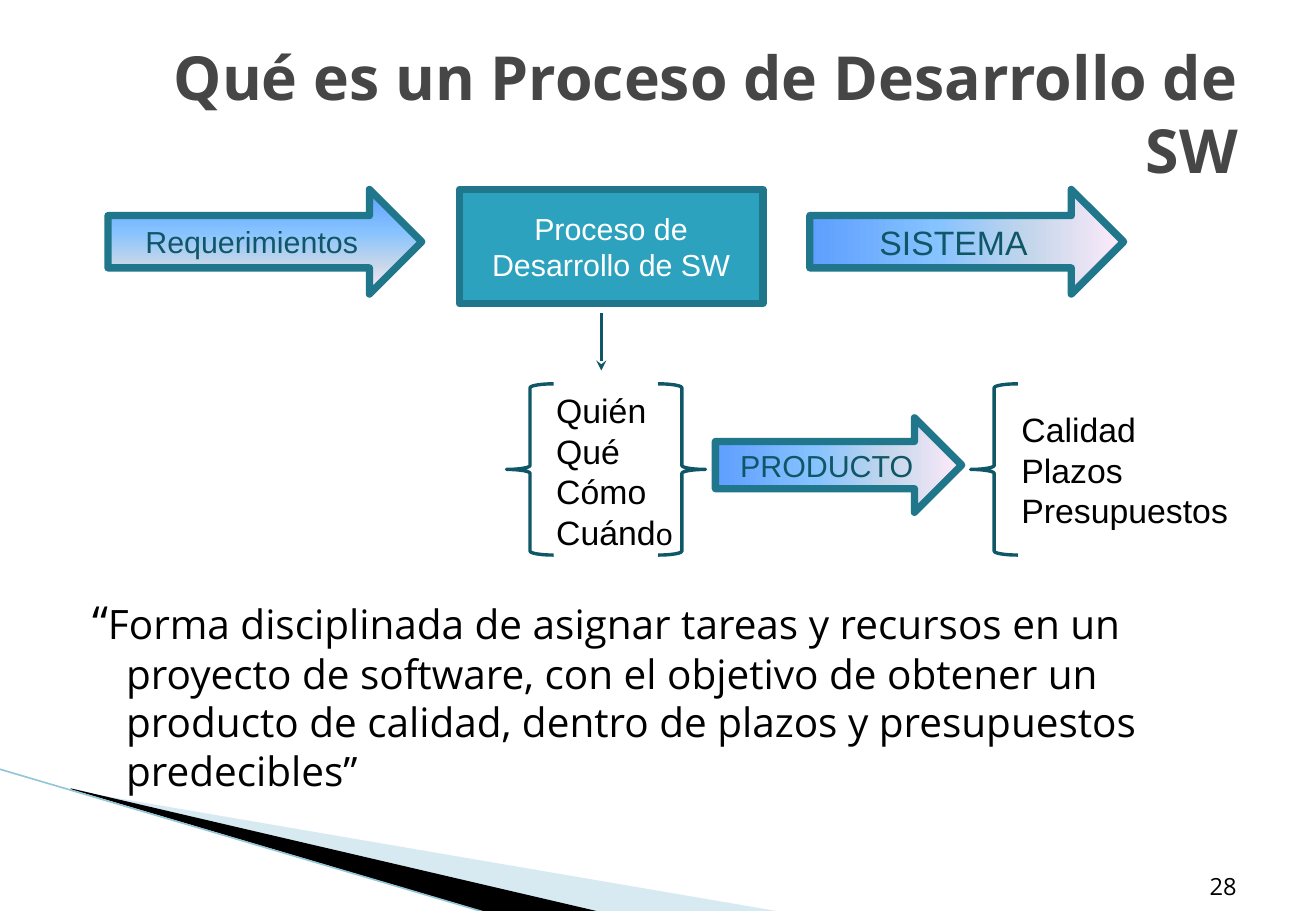
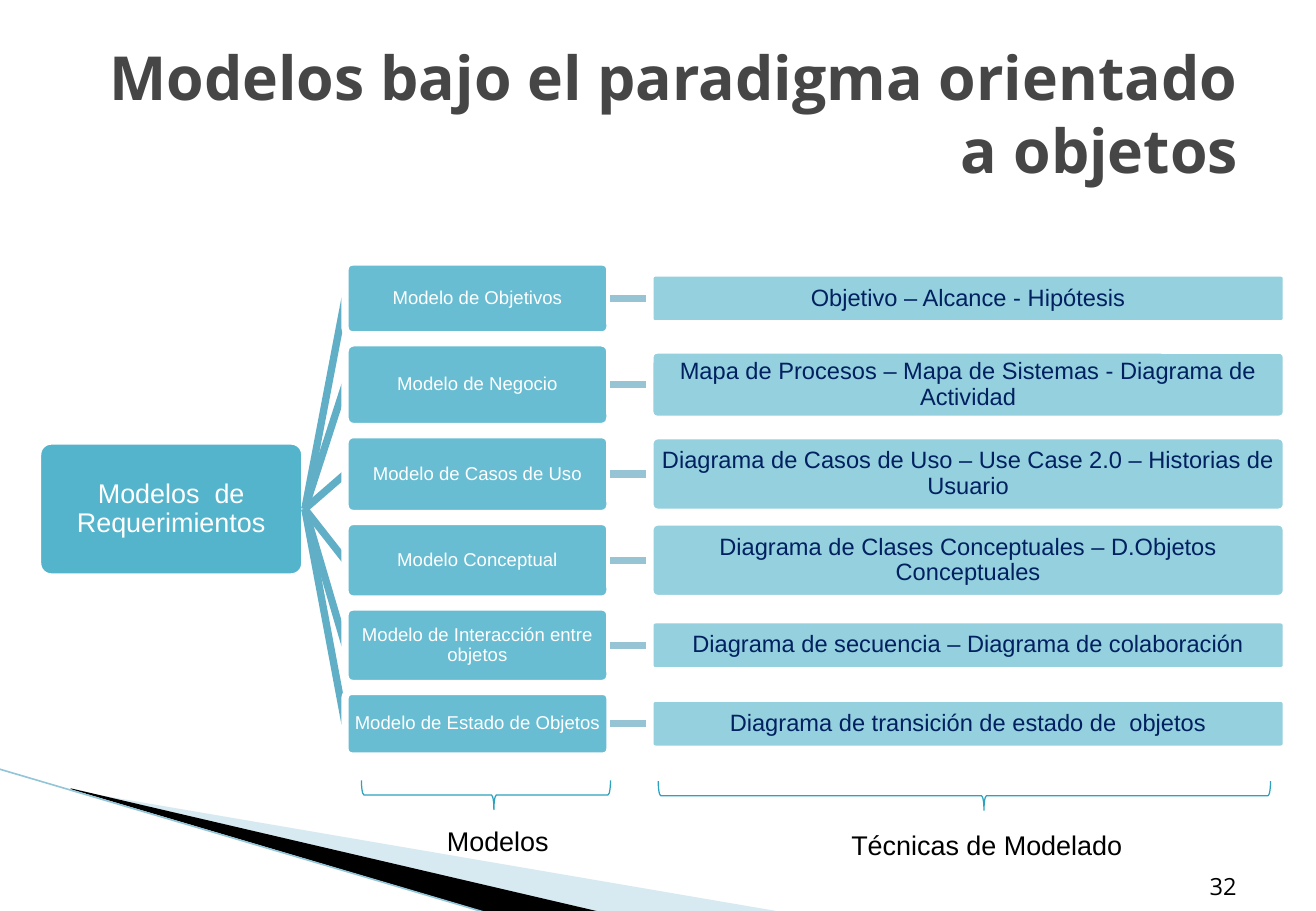
from dataclasses import dataclass
from typing import NamedTuple

from lxml.etree import SubElement as Sub
from pptx import Presentation
from pptx.dml.color import RGBColor as RGB
from pptx.enum.shapes import MSO_CONNECTOR as Conn, MSO_SHAPE as Kind
from pptx.enum.text import MSO_ANCHOR as Anchor, PP_ALIGN as Align
from pptx.oxml.ns import qn
from pptx.util import Pt

SANS, ARIAL = "Open Sans", "Arial"
BLACK = RGB(0, 0, 0)
WHITE = RGB(255, 255, 255)
GRAY = RGB(0x46, 0x46, 0x46)
NAVY = RGB(0x00, 0x20, 0x60)
DARK = RGB(0x0F, 0x56, 0x66)
EDGE = RGB(0x20, 0x76, 0x8B)
TEAL = RGB(0x2D, 0xA2, 0xBF)
NODE = RGB(0x2A, 0xA2, 0xBF)
BRANCH = RGB(0x61, 0xAE, 0xC7)
LINK = RGB(0x97, 0xC4, 0xD5)
PALE = RGB(0x9C, 0xCA, 0xDC)
SKY = RGB(0x93, 0xC5, 0xD8)
FADE = [(0, RGB(0x5E, 0x9E, 0xFF)), (40, RGB(0x85, 0xC2, 0xFF)),
        (70, RGB(0xC4, 0xD6, 0xEB)), (100, RGB(0xFF, 0xEB, 0xFA))]
THICK = 4.33


class Rect(NamedTuple):
    x: float
    y: float
    w: float
    h: float


class Run(NamedTuple):
    text: str
    size: float
    color: RGB = BLACK
    font: str = ARIAL
    bold: bool = False


@dataclass
class Arrow:
    rect: Rect
    label: Run
    angle: float = 0


@dataclass
class Brace:
    rect: Rect
    color: RGB = DARK
    width: float = 2
    mid: float = 0.5
    turn: float = 0
    flip: bool = False


@dataclass
class Row:
    model: str
    high: float
    tools: str
    low: float


ARROWS = [
    Arrow(Rect(64, 112.3, 186, 62), Run("Requerimientos", 18, DARK), 270),
    Arrow(Rect(480, 112.3, 186, 62), Run("SISTEMA", 20, DARK)),
    Arrow(Rect(424, 247.7, 146, 56), Run("PRODUCTO", 18, DARK)),
]
BRACES = [
    Brace(Rect(300.2, 227.5, 28, 101.5)),
    Brace(Rect(390.2, 227.5, 28, 101.5), flip=True),
    Brace(Rect(575.3, 227.5, 28, 101.5)),
]
SPANS = [
    Brace(Rect(563, 290.2, 17.3, 362.9), TEAL, 0.75, 0.532, 270),
    Brace(Rect(279.4, 397.4, 17.3, 147.6), TEAL, 0.75, 0.532, 270),
]
ROWS = [
    Row("Modelo de Objetivos", 43.2, "Objetivo – Alcance - Hipótesis", 30.2),
    Row("Modelo de Negocio", 49.7,
        "Mapa de Procesos – Mapa de Sistemas - Diagrama de Actividad", 41),
    Row("Modelo de Casos de Uso", 46.8,
        "Diagrama de Casos de Uso – Use Case 2.0 – Historias de Usuario", 45.4),
    Row("Modelo Conceptual", 46,
        "Diagrama de Clases Conceptuales – D.Objetos Conceptuales", 45.4),
    Row("Modelo de Interacción entre objetos", 45.4,
        "Diagrama de secuencia – Diagrama de colaboración", 30.2),
    Row("Modelo de Estado de Objetos", 38.2,
        "Diagrama de transición de estado de  objetos", 30.2),
]
TOP, GAP = 155.3, 4.7


def pts(*nums: float) -> list:
    return [Pt(n) for n in nums]


def write(shape, lines: list[list[Run]], align=Align.LEFT, anchor=Anchor.TOP,
          pad=(7.2, 3.6), lead=None) -> None:
    """Fill the shape with one paragraph per list of runs."""
    frame = shape.text_frame
    frame.word_wrap = True
    frame.vertical_anchor = anchor
    frame.margin_left = frame.margin_right = Pt(pad[0])
    frame.margin_top = frame.margin_bottom = Pt(pad[1])
    for i, runs in enumerate(lines):
        para = frame.add_paragraph() if i else frame.paragraphs[0]
        para.alignment = align
        if lead:
            para.line_spacing = lead
        for item in runs:
            run = para.add_run()
            run.text = item.text
            font = run.font
            font.name, font.size, font.bold = item.font, Pt(item.size), item.bold
            font.color.rgb = item.color


def label(slide, rect: Rect, lines: list[list[Run]], **style):
    box = slide.shapes.add_textbox(*pts(*rect))
    write(box, lines, **style)
    return box


def paint(shape, fill: RGB | None, line: RGB | None = None,
          width: float = THICK, alpha: int = 100) -> None:
    shape.shadow.inherit = False
    if fill is None:
        shape.fill.background()
    else:
        shape.fill.solid()
        shape.fill.fore_color.rgb = fill
        if alpha < 100:
            clr = shape.element.spPr.find(qn("a:solidFill"))[0]
            Sub(clr, qn("a:alpha"), val=str(alpha * 1000))
    if line is None:
        shape.line.fill.background()
    else:
        shape.line.color.rgb = line
        shape.line.width = Pt(width)


def wire(slide, ends, color: RGB, width: float = THICK, tip: str = ""):
    conn = slide.shapes.add_connector(Conn.STRAIGHT, *pts(*ends))
    conn.line.color.rgb = color
    conn.line.width = Pt(width)
    if tip:
        Sub(conn.line._get_or_add_ln(), qn("a:tailEnd"), type=tip)
    Sub(conn.element.spPr, qn("a:effectLst"))
    return conn


def wedge(slide, dots, fill: RGB, alpha: int = 100) -> None:
    first, *rest = [tuple(pts(*dot)) for dot in dots]
    pen = slide.shapes.build_freeform(*first, scale=1.0)
    pen.add_line_segments(rest, close=True)
    paint(pen.convert_to_shape(), fill, alpha=alpha)


def start(deck, title: str, num: int):
    """Add a slide with the corner bands, title and page number."""
    slide = deck.slides.add_slide(deck.slide_layouts[6])
    wedge(slide, [(42.5, 468.5), (464.4, 540.7), (355.7, 540.7), (42.5, 468)],
          PALE, 40)
    wedge(slide, [(41.8, 467.3), (356.4, 540.7), (290.2, 541.4), (42.5, 468)],
          BLACK)
    wire(slide, (-0.7, 455.8, 289.4, 541.4), SKY, 0.95)
    label(slide, Rect(38.9, 21.6, 702, 90), [[Run(title, 36, GRAY, SANS, True)]],
          align=Align.RIGHT, anchor=Anchor.MIDDLE)
    label(slide, Rect(641.5, 500.4, 98.6, 36.7),
          [[Run(str(num), 14, BLACK, SANS)]],
          align=Align.RIGHT, anchor=Anchor.BOTTOM)
    return slide


def arrow(slide, item: Arrow) -> None:
    shape = slide.shapes.add_shape(Kind.RIGHT_ARROW, *pts(*item.rect))
    paint(shape, WHITE, EDGE)
    shape.fill.gradient()
    shape.fill.gradient_angle = item.angle
    stops = shape.element.spPr.find(qn("a:gradFill")).find(qn("a:gsLst"))
    stops.clear()
    for pos, color in FADE:
        stop = Sub(stops, qn("a:gs"), pos=str(pos * 1000))
        Sub(stop, qn("a:srgbClr"), val=str(color))
    write(shape, [[item.label]], Align.CENTER, Anchor.MIDDLE)


def brace(slide, item: Brace) -> None:
    shape = slide.shapes.add_shape(Kind.LEFT_BRACE, *pts(*item.rect))
    shape.adjustments[0] = 0.083
    shape.adjustments[1] = item.mid
    shape.rotation = item.turn
    if item.flip:
        shape.element.spPr.xfrm.set("flipH", "1")
    paint(shape, None, item.color, item.width)


def node(slide, rect: Rect, text: Run, alpha: int):
    shape = slide.shapes.add_shape(Kind.ROUNDED_RECTANGLE, *pts(*rect))
    shape.adjustments[0] = 0.1
    paint(shape, NODE, WHITE, alpha=alpha)
    write(shape, [[text]], Align.CENTER, Anchor.MIDDLE, (1, 1), 0.9)
    return shape


def process(deck) -> None:
    slide = start(deck, "Qué es un Proceso de Desarrollo de SW", 28)
    quote = label(slide, Rect(38.9, 348.5, 702, 141), [[
        Run("“", 27, BLACK, SANS),
        Run("Forma disciplinada de asignar tareas y recursos en un proyecto de "
            "software, con el objetivo de obtener un producto de calidad, "
            "dentro de plazos y presupuestos predecibles”", 24, BLACK, SANS)]])
    props = quote.text_frame.paragraphs[0]._p.get_or_add_pPr()
    props.set("marL", str(Pt(28.8)))
    props.set("indent", str(Pt(-20.2)))

    box = slide.shapes.add_shape(Kind.RECTANGLE, *pts(272.2, 112.3, 180, 67.7))
    paint(box, TEAL, EDGE)
    write(box, [[Run("Proceso de Desarrollo de SW", 18, WHITE)]],
          Align.CENTER, Anchor.MIDDLE)
    asks = [[Run(word, 20)] for word in ("Quién", "Qué", "Cómo", "Cuánd")]
    asks[-1].append(Run("o", 18))
    label(slide, Rect(322.6, 227.5, 86, 104.4), asks)
    goals = [[Run(word, 20)] for word in ("Calidad", "Plazos", "Presupuestos")]
    label(slide, Rect(598.3, 239, 138.2, 80), goals)
    for item in BRACES:
        brace(slide, item)
    wire(slide, (356.4, 185.8, 356.4, 219.6), DARK, 2, "stealth")
    for item in ARROWS:
        arrow(slide, item)


def models(deck) -> None:
    slide = start(deck, "Modelos bajo el paradigma orientado a objetos", 32)
    span = sum(row.high for row in ROWS) + GAP * (len(ROWS) - 1)
    root = node(slide, Rect(22.3, TOP + span / 2 - 40.3, 158.4, 80.6),
                Run("Modelos  de Requerimientos", 16, WHITE), 80)
    y = TOP
    for row in ROWS:
        mid = y + row.high / 2
        # Each line is added before its target so that the box lies on top.
        branch = wire(slide, (180.7, TOP + span / 2, 204.5, mid), BRANCH)
        model = node(slide, Rect(204.5, y, 157, row.high),
                     Run(row.model, 11, WHITE), 70)
        link = wire(slide, (361.5, mid, 385.2, mid), LINK)
        tools = node(slide, Rect(385.2, mid - row.low / 2, 377.3, row.low),
                     Run(row.tools, 14, NAVY), 50)
        for line, tail, head in ((branch, root, model), (link, model, tools)):
            line.begin_connect(tail, 3)
            line.end_connect(head, 1)
        y += row.high + GAP
    for item in SPANS:
        brace(slide, item)
    label(slide, Rect(497.5, 487.4, 178, 26.6), [[Run("Técnicas de Modelado", 16)]])
    label(slide, Rect(257.8, 485.3, 78, 26.6), [[Run("Modelos", 16)]])


def main() -> None:
    deck = Presentation()
    deck.slide_width, deck.slide_height = pts(780, 540)
    process(deck)
    models(deck)
    deck.save("out.pptx")


if __name__ == "__main__":
    main()
